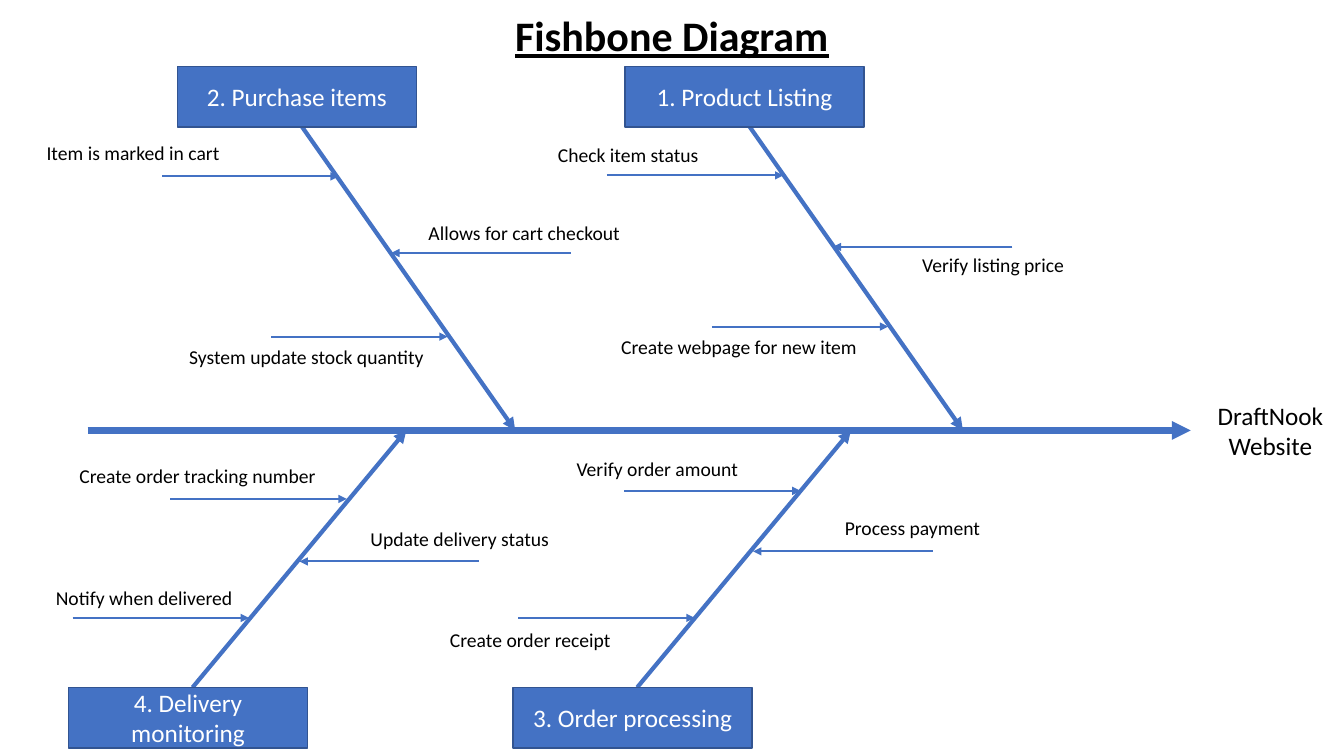
"""Build a fishbone diagram slide of an online shop's ordering process."""
import pptx
import pptx.dml.color
import pptx.enum.shapes
import pptx.enum.text
import pptx.oxml
import pptx.oxml.ns
import pptx.util

PX = 9144
BLUE = pptx.dml.color.RGBColor(0x44, 0x72, 0xC4)
NAVY = pptx.dml.color.RGBColor(0x32, 0x54, 0x91)
WHITE = pptx.dml.color.RGBColor(0xFF, 0xFF, 0xFF)
BLACK = pptx.dml.color.RGBColor(0x00, 0x00, 0x00)

SPINE_Y = 427
BOX_W, BOX_H = 237, 60
BONE_INSET, BONE_RUN = 123, 212
LABEL_W, LABEL_H = 262, 38
FROM_LEFT, FROM_RIGHT = -175, 178

# Branch: title, box left, box top, bone start y, causes.
# Cause: label, label centre x, label top, arrow tip x, arrow y, tail offset.
BRANCHES = [
    ("2. Purchase items", 176, 66, 125, [
        ("Item is marked in cart", 132, 132, 336, 175, FROM_LEFT),
        ("Allows for cart checkout", 520, 212, 388, 251, FROM_RIGHT),
        ("System update stock quantity", 304, 335, 444, 334, FROM_LEFT),
    ]),
    ("1. Product Listing", 620, 66, 125, [
        ("Check item status", 623, 134, 777, 174, FROM_LEFT),
        ("Verify listing price", 985, 244, 826, 245, FROM_RIGHT),
        ("Create webpage for new item", 733, 325, 881, 324, FROM_LEFT),
    ]),
    ("4. Delivery monitoring", 68, 682, 682, [
        ("Create order tracking number", 196, 453, 344, 495, FROM_LEFT),
        ("Update delivery status", 456, 515, 297, 557, FROM_RIGHT),
        ("Notify when delivered", 143, 574, 247, 613, FROM_LEFT),
    ]),
    ("3. Order processing", 509, 682, 682, [
        ("Verify order amount", 652, 446, 794, 487, FROM_LEFT),
        ("Process payment", 905, 504, 747, 547, FROM_RIGHT),
        ("Create order receipt", 526, 616, 689, 613, FROM_LEFT),
    ]),
]


def emu(*lengths):
    """Turn px lengths into EMU."""
    return [pptx.util.Emu(n * PX) for n in lengths]


def write(sp, text, size, color, anchor=pptx.enum.text.MSO_ANCHOR.MIDDLE):
    """Put one centred paragraph in a shape and return it."""
    tf = sp.text_frame
    tf.word_wrap = True
    tf.vertical_anchor = anchor
    p = tf.paragraphs[0]
    p.text = text
    p.alignment = pptx.enum.text.PP_ALIGN.CENTER
    p.font.name = "Calibri"
    p.font.size = pptx.util.Pt(size)
    p.font.color.rgb = color
    return p


def add_arrow(s, x1, y1, x2, y2, width):
    """Draw a blue line with a triangle head at its end."""
    line = s.shapes.add_connector(
        pptx.enum.shapes.MSO_CONNECTOR.STRAIGHT, *emu(x1, y1, x2, y2))
    line.line.color.rgb = BLUE
    line.line.width = pptx.util.Pt(width)
    ln = line.line._get_or_add_ln()
    head = pptx.oxml.parse_xml(
        f'<a:tailEnd {pptx.oxml.ns.nsdecls("a")} type="triangle"/>')
    ln.append(head)
    effects = pptx.oxml.parse_xml(
        f'<a:effectLst {pptx.oxml.ns.nsdecls("a")}/>')
    ln.addnext(effects)


def add_box(s, x, y, w, h, text, fill, color, border=None):
    """Draw a filled rectangle with 18 pt text."""
    sp = s.shapes.add_shape(
        pptx.enum.shapes.MSO_SHAPE.RECTANGLE, *emu(x, y, w, h))
    sp.shadow.inherit = False
    sp.fill.solid()
    sp.fill.fore_color.rgb = fill
    if border is None:
        sp.line.fill.background()
    else:
        sp.line.color.rgb = border
        sp.line.width = pptx.util.Pt(1)
    write(sp, text, 18, color)


def add_title(s, text):
    """Add the underlined heading."""
    sp = s.shapes.add_textbox(*emu(266, 5, 801, 61))
    p = write(sp, text, 30, BLACK, pptx.enum.text.MSO_ANCHOR.TOP)
    p.font.bold = True
    p.font.underline = True


def add_cause(s, label, center, top, tip_x, y, offset):
    """Add a cause label and the arrow that leads to its bone."""
    add_arrow(s, tip_x + offset, y, tip_x, y, 1.5)
    sp = s.shapes.add_textbox(
        *emu(center - LABEL_W // 2, top, LABEL_W, LABEL_H))
    write(sp, label, 14, BLACK)


def add_branch(s, title, x, y, bone_y, causes):
    """Add a bone with its category box and causes."""
    bone_x = x + BONE_INSET
    add_arrow(s, bone_x, bone_y, bone_x + BONE_RUN, SPINE_Y, 3)
    add_box(s, x, y, BOX_W, BOX_H, title, BLUE, WHITE, NAVY)
    for cause in causes:
        add_cause(s, *cause)


def main():
    """Build and save the slide."""
    prs = pptx.Presentation()
    prs.slide_width, prs.slide_height = emu(1333, 750)
    s = prs.slides.add_slide(prs.slide_layouts[6])
    add_arrow(s, 87, SPINE_Y, 1181, SPINE_Y, 4.5)
    add_box(s, 1187, 368, 146, 118, "DraftNook Website", WHITE, BLACK)
    for branch in BRANCHES:
        add_branch(s, *branch)
    add_title(s, "Fishbone Diagram")
    prs.save("out.pptx")


if __name__ == "__main__":
    main()
